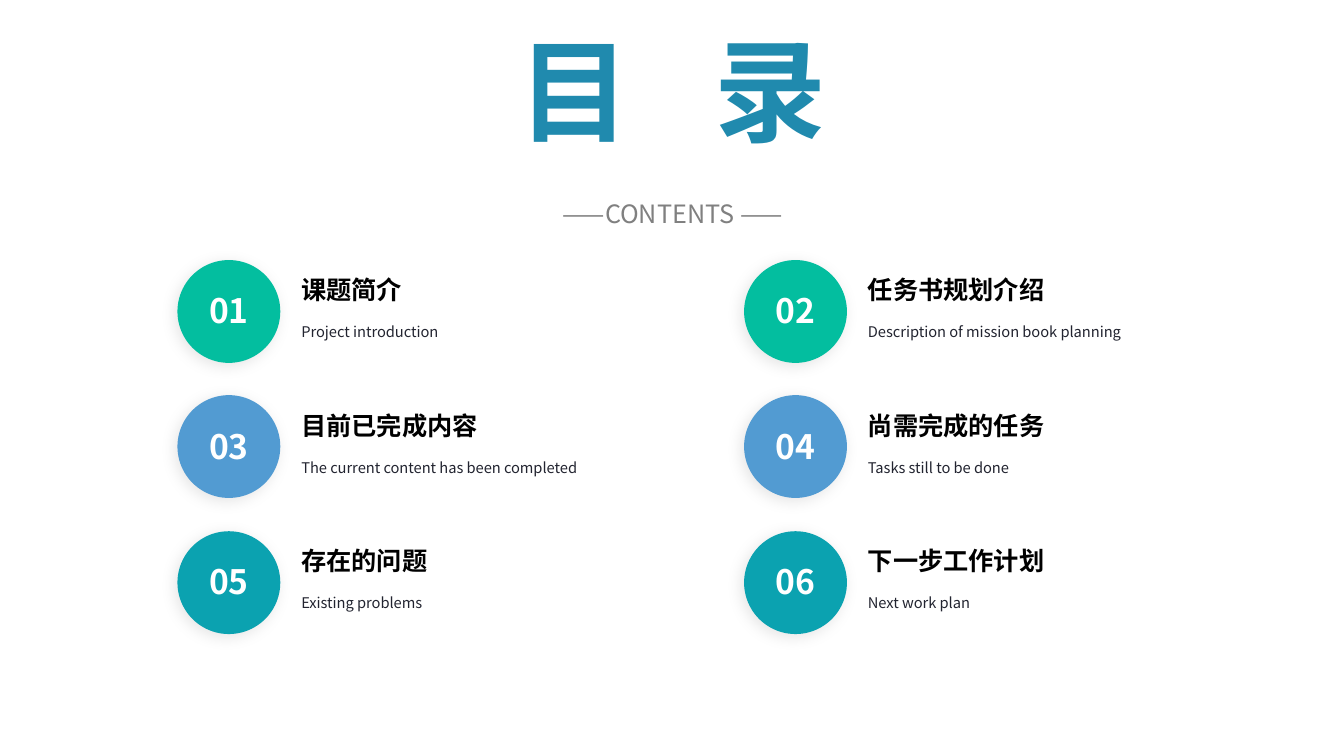
import pptx
import pptx.util
import pptx.dml.color
import pptx.enum.shapes
import pptx.enum.text
import pptx.oxml
import pptx.oxml.ns
import lxml.etree

RGB = pptx.dml.color.RGBColor
TITLE_BLUE = RGB(0x20, 0x8A, 0xAE)
GREY = RGB(0x80, 0x80, 0x80)
BLACK = RGB(0, 0, 0)
INK = RGB(0x22, 0x24, 0x30)
WHITE = RGB(0xFF, 0xFF, 0xFF)
GREEN = RGB(0x03, 0xBE, 0x9F)
BLUE = RGB(0x52, 0x9B, 0xD2)
TEAL = RGB(0x0B, 0xA2, 0xB0)

CENTER = pptx.enum.text.PP_ALIGN.CENTER
LEFT = pptx.enum.text.PP_ALIGN.LEFT

SHADOW = (
    '<a:outerShdw %s blurRad="139700" dist="38100" dir="8100000" algn="tr" rotWithShape="0">'
    '<a:srgbClr val="000000"><a:alpha val="10000"/></a:srgbClr></a:outerShdw>'
    % pptx.oxml.ns.nsdecls("a")
)

ENTRIES = [
    ("课题简介", "Project introduction"),
    ("任务书规划介绍", "Description of mission book planning"),
    ("目前已完成内容", "The current content has been completed"),
    ("尚需完成的任务", "Tasks still to be done"),
    ("存在的问题", "Existing problems"),
    ("下一步工作计划", "Next work plan"),
]
ROW_COLORS = [GREEN, BLUE, TEAL]
COLUMN_LEFTS = [176, 738]
FIRST_ROW_TOP = 258
ROW_PITCH = 134.5


class ContentsSlide:
    font_name = "Noto Sans CJK SC"
    emu_per_px = 9144
    formats = {
        "title": {"size": 80, "bold": True, "color": TITLE_BLUE, "align": CENTER},
        "subtitle": {"size": 18, "bold": False, "color": GREY, "align": CENTER},
        "number": {"size": 24, "bold": True, "color": WHITE, "align": CENTER},
        "heading": {"size": 18, "bold": True, "color": BLACK, "align": LEFT},
        "caption": {"size": 10.5, "bold": False, "color": INK, "align": LEFT},
    }

    def __init__(self, presentation):
        self.slide = presentation.slides.add_slide(presentation.slide_layouts[6])

    def px(self, *lengths):
        return [pptx.util.Emu(round(length) * self.emu_per_px) for length in lengths]

    def text(self, words, left, top, width, height, role, wrap=True):
        style = self.formats[role]
        frame = self.slide.shapes.add_textbox(*self.px(left, top, width, height)).text_frame
        frame_format = {
            "word_wrap": wrap,
            "auto_size": pptx.enum.text.MSO_AUTO_SIZE.SHAPE_TO_FIT_TEXT,
        }
        for name, value in frame_format.items():
            setattr(frame, name, value)
        paragraph = frame.paragraphs[0]
        paragraph.alignment = style["align"]
        run = paragraph.add_run()
        run.text = words
        font_format = {
            "name": self.font_name,
            "size": pptx.util.Pt(style["size"]),
            "bold": style["bold"],
        }
        for name, value in font_format.items():
            setattr(run.font, name, value)
        run.font.color.rgb = style["color"]
        east_asian = lxml.etree.SubElement(run.font._element, pptx.oxml.ns.qn("a:ea"))
        east_asian.set("typeface", self.font_name)

    def disc(self, left, top, diameter, color):
        """Add a borderless circle with a soft shadow."""
        circle = self.slide.shapes.add_shape(
            pptx.enum.shapes.MSO_SHAPE.OVAL, *self.px(left, top, diameter, diameter)
        )
        circle.fill.solid()
        circle.fill.fore_color.rgb = color
        circle.line.fill.background()
        circle.shadow.inherit = False
        effects = circle._element.spPr.find(pptx.oxml.ns.qn("a:effectLst"))
        effects.append(pptx.oxml.parse_xml(SHADOW))

    def entry(self, number, heading, caption, left, top, color):
        self.disc(left, top, 102, color)
        self.text(f"{number:02d}", left + 10, top + 25, 82, 50, "number")
        self.text(heading, left + 113, top + 9, 411, 40, "heading")
        self.text(caption, left + 113, top + 57, 421, 28, "caption")


def main():
    presentation = pptx.Presentation()
    presentation.slide_width = pptx.util.Inches(13.33)
    presentation.slide_height = pptx.util.Inches(7.5)

    contents = ContentsSlide(presentation)
    contents.text("目", 504, 16, 131, 145, "title", wrap=False)
    contents.text("录", 698, 16, 132, 145, "title", wrap=False)
    contents.text("——CONTENTS ——", 313, 192, 708, 40, "subtitle")
    for index, (heading, caption) in enumerate(ENTRIES):
        row, column = divmod(index, len(COLUMN_LEFTS))
        top = FIRST_ROW_TOP + row * ROW_PITCH
        contents.entry(index + 1, heading, caption, COLUMN_LEFTS[column], top, ROW_COLORS[row])

    presentation.save("out.pptx")


if __name__ == "__main__":
    main()
